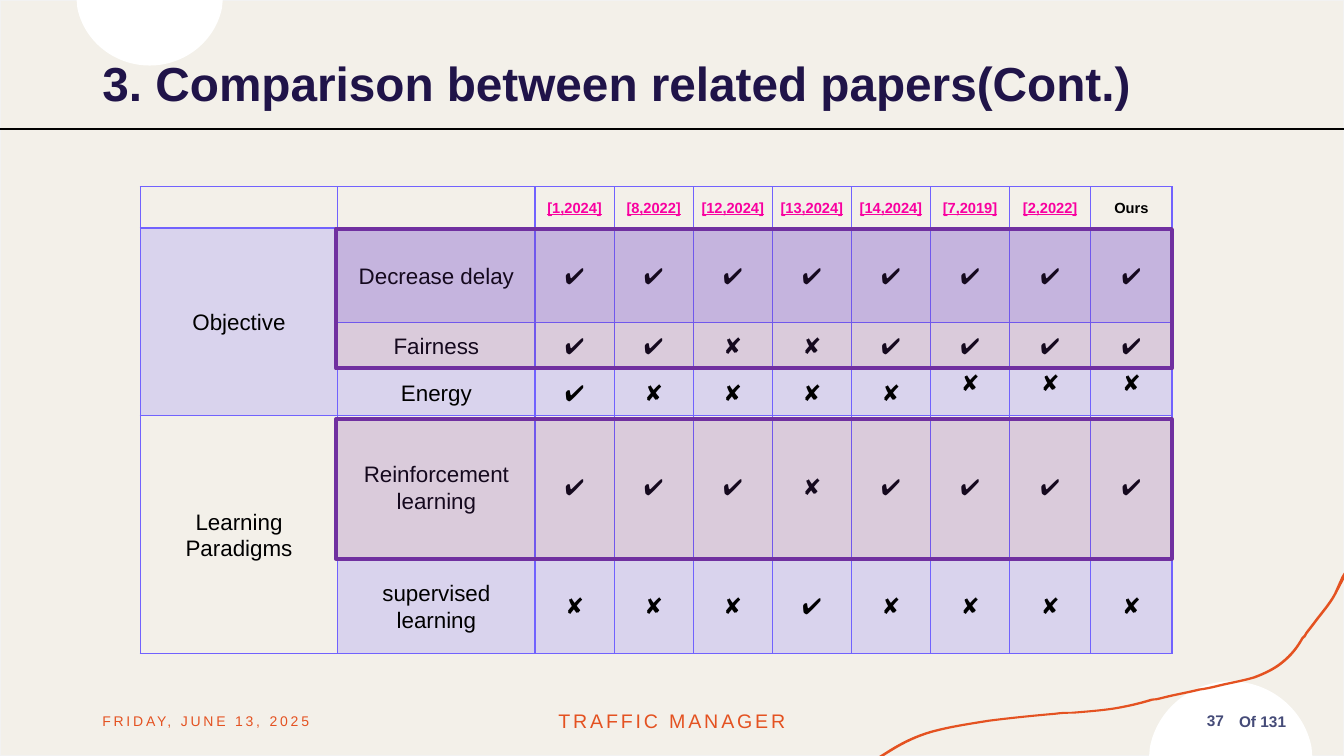
from lxml import etree
from pptx import Presentation
from pptx.dml.color import RGBColor
from pptx.enum.shapes import MSO_CONNECTOR, MSO_SHAPE
from pptx.enum.text import MSO_ANCHOR, MSO_AUTO_SIZE, PP_ALIGN
from pptx.oxml.ns import qn
from pptx.util import Pt

LEFT, CENTER, RIGHT = PP_ALIGN.LEFT, PP_ALIGN.CENTER, PP_ALIGN.RIGHT
TOP, MIDDLE = MSO_ANCHOR.TOP, MSO_ANCHOR.MIDDLE
RECT, STRAIGHT = MSO_SHAPE.RECTANGLE, MSO_CONNECTOR.STRAIGHT

BLACK = RGBColor(0x00, 0x00, 0x00)
WHITE = RGBColor(0xFF, 0xFF, 0xFF)
CREAM = RGBColor(0xF3, 0xF0, 0xE9)
PALE = RGBColor(0xF2, 0xF2, 0xF2)
ORANGE = RGBColor(0xE4, 0x52, 0x21)
SLATE = RGBColor(0x45, 0x4B, 0x78)
NAVY = RGBColor(0x20, 0x14, 0x49)
VIOLET = RGBColor(0x71, 0x62, 0xFE)
PURPLE = RGBColor(0x70, 0x30, 0xA0)
PINK = RGBColor(0xF9, 0x00, 0xA0)

WIDTH, HEIGHT = 960, 540
# Lower edge of the wave: a start point, then three points for each curve
WAVE = [(954, 425.5),
        (950.4, 432), (945.4, 437.8), (941, 443.5),
        (938.9, 446.4), (936, 450), (933.8, 452.9),
        (933.1, 454.3), (932.4, 455.8), (931, 456.5),
        (927.4, 463), (923, 468.7), (916.6, 473.8),
        (911.5, 478.1), (904.3, 481.7), (896.4, 484.6),
        (889.2, 486.7), (881.3, 488.2), (874.8, 489.6),
        (869, 491), (863.3, 492.5), (857.5, 493.2),
        (848.9, 495.4), (840.2, 496.8), (831.6, 499),
        (828.7, 499.7), (826.6, 500.4), (823.7, 500.4),
        (814.3, 503.3), (805, 505.4), (795.6, 506.9),
        (786.2, 508.3), (776.2, 509), (766.8, 509.8),
        (763.2, 509.8), (758.9, 509.8), (754.6, 510.5),
        (738.7, 511.9), (723.6, 513.4), (707, 515.5),
        (693.4, 517.7), (679, 519.8), (666, 523.4),
        (655.9, 526.3), (646.6, 530.6), (637.2, 536.4)]

PAPERS = ["[1,2024]", "[8,2022]", "[12,2024]", "[13,2024]", "[14,2024]",
          "[7,2019]", "[2,2022]", "Ours"]
ROWS = [["", ""] + PAPERS,
        ["Objective", "Decrease delay", *"✔✔✔✔✔✔✔✔"],
        ["", "Fairness", *"✔✔✘✘✔✔✔✔"],
        ["", "Energy", *"✔✘✘✘✘✘✘✘"],
        ["Learning Paradigms", "Reinforcement learning", *"✔✔✔✘✔✔✔✔"],
        ["", "supervised learning", *"✘✘✘✔✘✘✘✘"]]
COL_WIDTHS = [141] * 2 + [56.5] * 6 + [58] * 2
ROW_HEIGHTS = [29.7, 67.5, 33.3, 33.3, 102.2, 67.7]


def write(tf, text, size=16, color=BLACK, bold=False, underline=False,
          align=LEFT, spacing=None, after=None, tracking=0):
    p = tf.paragraphs[0]
    p.alignment = align
    p.line_spacing = spacing
    if after is not None:
        p.space_after = Pt(after)
    r = p.add_run()
    r.text = text
    font = r.font
    font.name, font.size = "Arial", Pt(size)
    font.bold, font.underline = bold, underline
    font.color.rgb = color
    if tracking:
        r._r.get_or_add_rPr().set("spc", str(tracking * 100))


def set_alpha(props, percent):
    color = props.find(".//" + qn("a:srgbClr"))
    etree.SubElement(color, qn("a:alpha")).set("val", str(percent * 1000))


def curves(points):
    """Group points into cubic curves of three points each."""
    return [points[i:i + 3] for i in range(0, len(points), 3)]


class SlideBuilder:
    def __init__(self, prs):
        self.slide = prs.slides.add_slide(prs.slide_layouts[5])
        self.shapes = self.slide.shapes

    def rect(self, x, y, w, h, fill, line, weight, alpha=100):
        sp = self.shapes.add_shape(RECT, Pt(x), Pt(y), Pt(w), Pt(h))
        sp.shadow.inherit = False
        sp.fill.solid()
        sp.fill.fore_color.rgb = fill
        sp.line.color.rgb = line
        sp.line.width = Pt(weight)
        if alpha < 100:
            set_alpha(sp._element.spPr, alpha)

    def outline(self, start, segments, fill):
        """Closed outline; a segment has one point (line) or three (curve)."""
        fb = self.shapes.build_freeform(Pt(start[0]), Pt(start[1]))
        fb.add_line_segments([(Pt(x), Pt(y)) for seg in segments
                              for x, y in seg], close=True)
        sp = fb.convert_to_shape()
        lines = iter(list(sp._element.iter(qn("a:lnTo"))))
        for seg in segments:
            first, *others = [next(lines) for _ in seg]
            if others:
                curve = etree.Element(qn("a:cubicBezTo"))
                first.addprevious(curve)
                for ln in [first] + others:
                    curve.append(ln[0])
                    ln.getparent().remove(ln)
        sp.shadow.inherit = False
        sp.fill.solid()
        sp.fill.fore_color.rgb = fill
        sp.line.fill.background()

    def cap(self, cx, edge, half, depth):
        """Part of a circle cut by the slide edge; positive depth is down."""
        side = [(0, 1), (0.49, 1), (0.9, 0.62), (0.99, 0.12), (1, 0)]
        right = [(cx + half * u, edge + depth * v) for u, v in side]
        left = [(2 * cx - x, y) for x, y in reversed(right)]
        self.outline(right[0], [right[1:4], right[4:], left[:1], left[1:2],
                                left[2:]], WHITE)

    def text(self, x, y, w, h, text, right=7.2, **style):
        tf = self.shapes.add_textbox(Pt(x), Pt(y), Pt(w), Pt(h)).text_frame
        tf.word_wrap = True
        tf.vertical_anchor = MIDDLE
        tf.margin_right = Pt(right)
        write(tf, text, **style)

    def title(self, x, y, w, h, text, **style):
        sp = self.shapes.title
        sp.left, sp.top, sp.width, sp.height = Pt(x), Pt(y), Pt(w), Pt(h)
        tf = sp.text_frame
        tf.auto_size, tf.word_wrap = MSO_AUTO_SIZE.NONE, True
        tf.vertical_anchor = MIDDLE
        write(tf, text, **style)
        self.shapes._spTree.append(sp._element)  # in front of the backdrop

    def line(self, x1, y1, x2, y2, color, weight):
        cn = self.shapes.add_connector(STRAIGHT, Pt(x1), Pt(y1), Pt(x2), Pt(y2))
        cn.line.color.rgb = color
        cn.line.width = Pt(weight)
        etree.SubElement(cn._element.spPr, qn("a:effectLst"))

    def cell_borders(self, cell, color, **weights):
        tc_pr = cell._tc.get_or_add_tcPr()
        for i, side in enumerate("LRTB"):
            ln = etree.Element(qn("a:ln" + side))
            ln.set("w", str(Pt(weights.get(side, 1))))
            fill = etree.SubElement(ln, qn("a:solidFill"))
            etree.SubElement(fill, qn("a:srgbClr")).set("val", str(color))
            tc_pr.insert(i, ln)

    def table(self, x, y, rows, widths, heights, merges):
        table = self.shapes.add_table(len(rows), len(widths), Pt(x), Pt(y),
                                      Pt(sum(widths)), Pt(sum(heights))).table
        table.first_row = table.horz_banding = False
        for col, width in zip(table.columns, widths):
            col.width = Pt(width)
        for row, height in zip(table.rows, heights):
            row.height = Pt(height)
        for first, last in merges:
            table.cell(first, 0).merge(table.cell(last, 0))
        for i, row in enumerate(rows):
            for j, text in enumerate(row):
                cell = table.cell(i, j)
                if not cell.is_spanned:
                    self.cell(cell, text, i, j)

    def cell(self, cell, text, i, j):
        cell.margin_left = cell.margin_right = Pt(5)
        cell.margin_top = cell.margin_bottom = 0
        cell.vertical_anchor = TOP if i == 3 and j >= 7 else MIDDLE
        style = dict(align=CENTER, spacing=1.07, after=8)
        if i == 0:
            cited = text != "Ours"
            style.update(size=10.5, bold=True, underline=cited,
                         color=PINK if cited else BLACK)
        if text:
            write(cell.text_frame, text, **style)
        if i % 2:
            cell.fill.solid()
            cell.fill.fore_color.rgb = VIOLET
            set_alpha(cell._tc.tcPr, 20)
        else:
            cell.fill.background()
        self.cell_borders(cell, VIOLET, B=2 if i == 0 else 1)


def main():
    prs = Presentation()
    prs.slide_width, prs.slide_height = Pt(WIDTH), Pt(HEIGHT)
    s = SlideBuilder(prs)

    # Backdrop
    s.rect(0, 0, WIDTH, HEIGHT, CREAM, PALE, 1)
    s.cap(106.9, 0, 52.2, 46.8)
    s.cap(879.1, HEIGHT, 58.3, -53.3)
    upper = [(x - 1.2, y - 1.4) for x, y in reversed(WAVE)]
    s.outline((960, 409), [[(960, 414)], WAVE[:1], *curves(WAVE[1:]),
                           [(631.4, HEIGHT)], [(628, HEIGHT)], upper[:1],
                           *curves(upper[1:]), [(958.3, 411.8)]], ORANGE)

    # Footer
    s.text(873.4, 501, 55.4, 28, "Of 131", right=10, size=11, color=SLATE,
           bold=True, align=RIGHT)
    s.text(66, 500.4, 216, 28.8, "FRIDAY, JUNE 13, 2025", size=10,
           color=ORANGE, tracking=2)
    s.text(318, 500.4, 324, 28.8, "TRAFFIC MANAGER", size=14, color=ORANGE,
           align=CENTER, tracking=2)
    s.text(767.5, 500.4, 113.8, 28.8, "37", size=11, color=SLATE, bold=True,
           align=RIGHT)

    # Title
    s.title(66, 29, 828, 63.4, "3. Comparison between related papers(Cont.)",
            size=34.1, color=NAVY, bold=True, spacing=0.95, after=15)
    s.line(0, 92.2, WIDTH, 92.2, BLACK, 2)

    # Comparison table with highlighted rows
    s.table(100.2, 133.3, ROWS, COL_WIDTHS, ROW_HEIGHTS,
            merges=[(1, 3), (4, 5)])
    for y in (299.6, 163.7):
        s.rect(240, y, 597, 99.5, PURPLE, PURPLE, 3, alpha=19)

    prs.save("out.pptx")


if __name__ == "__main__":
    main()
